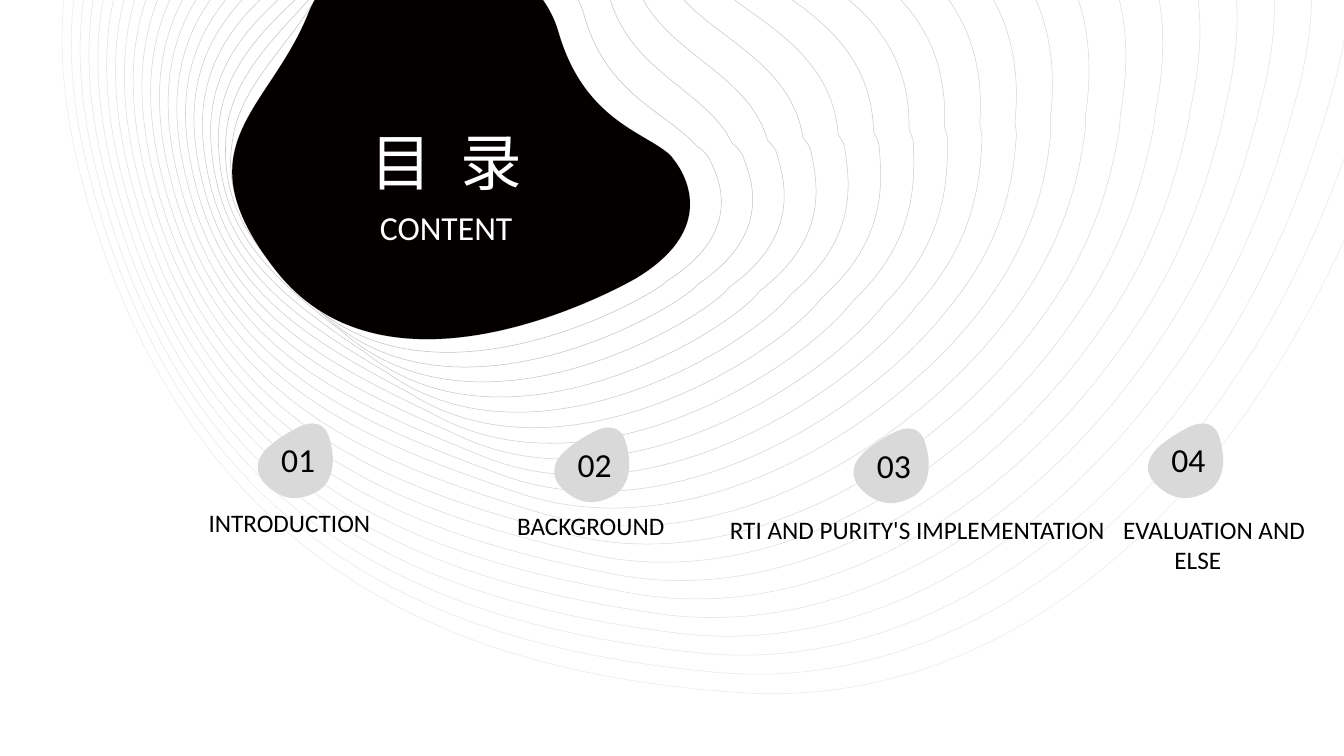
from lxml.etree import SubElement
from pptx import Presentation
from pptx.dml.color import RGBColor
from pptx.enum.text import MSO_AUTO_SIZE as AutoSize
from pptx.oxml.ns import qn
from pptx.util import Inches, Pt

BLACK = RGBColor(0x00, 0x00, 0x00)
WHITE = RGBColor(0xFF, 0xFF, 0xFF)
BLOB = RGBColor(0x04, 0x00, 0x00)
MARKER_GRAY = RGBColor(0xD9, 0xD9, 0xD9)
OUTER_GRAY = RGBColor(0xEA, 0xEA, 0xEA)
INNER_GRAY = RGBColor(0xC0, 0xBF, 0xBF)
RING_LIGHT = RGBColor(0xE8, 0xE8, 0xE8)
RING_DARK = RGBColor(0xC2, 0xC1, 0xC1)

OUTER = [
    (10.88, -3.34), (10.88, -3.34), (15.13, -3.05), (13.91, 0.86),
    (12.69, 4.76), (10.14, 7.07), (7.32, 6.87), (4.5, 6.67), (1.97, 5.63),
    (0.89, 2.07), (-0.18, -1.49), (2.03, -2.91), (4.96, -3.34),
    (7.88, -3.78), (10.88, -3.34), (10.88, -3.34),
]
RING_FIRST = [
    (7.1, 6.67), (4.4, 6.42), (1.98, 5.45), (0.97, 2.04), (-0.06, -1.37),
    (2.08, -2.73), (4.86, -3.18), (7.67, -3.63), (10.61, -3.22),
    (10.62, -3.17), (10.64, -3.13), (14.67, -2.85), (13.56, 0.89),
    (13.53, 0.97), (13.51, 1.05), (13.48, 1.13), (13.22, 1.95),
    (12.89, 2.71), (12.48, 3.39), (11.15, 5.58), (9.18, 6.86), (7.1, 6.67),
]
RING_MIDDLE = [
    (5.14, 4.89), (3.48, 4.32), (2.1, 3.76), (1.6, 1.72), (1.1, -0.32),
    (2.46, -1.11), (4.05, -1.69), (5.85, -2.34), (8.2, -2.08),
    (8.33, -1.6), (8.45, -1.2), (10.66, -1.02), (10.42, 1.16),
    (10.41, 1.21), (10.43, 1.28), (10.42, 1.34), (10.37, 1.85),
    (10.22, 2.44), (9.7, 3.11), (8.83, 4.22), (6.89, 5.48), (5.14, 4.89),
]
RING_LAST = [
    (2.97, 2.9), (2.4, 2.29), (2.22, 1.88), (2.31, 1.37), (2.39, 0.85),
    (2.84, 0.48), (3.15, -0.04), (3.78, -1.09), (5.51, -0.82),
    (5.79, 0.14), (6.01, 0.94), (6.61, 1.11), (6.91, 1.45), (6.95, 1.47),
    (7, 1.52), (7.02, 1.55), (7.12, 1.74), (7.41, 2.29), (6.61, 2.79),
    (6.54, 2.9), (4.24, 4.25), (2.97, 2.9),
]
CORE = [
    (6.31, 2.76), (6.31, 2.76), (3.92, 4.16), (2.75, 2.7), (1.76, 1.45),
    (2.67, 1.11), (3.06, 0.13), (3.51, -0.98), (5.25, -0.69), (5.54, 0.32),
    (5.78, 1.15), (6.34, 1.3), (6.6, 1.5), (6.63, 1.52), (6.66, 1.55),
    (6.68, 1.58), (6.8, 1.73), (7.12, 2.27), (6.31, 2.76),
]
PEBBLE = [
    (0.49, 0.12), (0.49, 0.12), (0.72, 0), (0.78, 0.25), (0.85, 0.49),
    (0.8, 0.69), (0.65, 0.77), (0.5, 0.85), (0.34, 0.87), (0.17, 0.72),
    (0, 0.57), (0.06, 0.42), (0.19, 0.31), (0.33, 0.19), (0.49, 0.12),
    (0.49, 0.12),
]
RING_MIDDLE_STEP, RING_LAST_STEP = 9, 19

SECTIONS = [
    ("01", 2.49, 4.11, 1.97, 4.98, 1.88, 0.4, [("INTRODUCTION", 0)]),
    ("02", 5.43, 4.15, 5.03, 5.01, 1.68, 0.4, [("BACKGROUND", 0)]),
    ("03", 8.4, 4.16, 7.14, 5.05, 3.95, 0.4,
     [("RTI AND PURITY'S IMPLEMENTATION", 0)]),
    ("04", 11.32, 4.11, 11.04, 5.05, 2.06, 0.71,
     [("EVALUATION AND", 0), ("ELSE", 0.51)]),
]


def blend(start, end, share):
    return start + (end - start) * share


def ring_points(step):
    if step <= RING_MIDDLE_STEP:
        start, end, share = RING_FIRST, RING_MIDDLE, step / RING_MIDDLE_STEP
    else:
        start, end = RING_MIDDLE, RING_LAST
        share = (step - RING_MIDDLE_STEP) / (RING_LAST_STEP - RING_MIDDLE_STEP)
    return [(blend(x1, x2, share), blend(y1, y2, share))
            for (x1, y1), (x2, y2) in zip(start, end)]


def ring_color(step):
    share = step / RING_LAST_STEP
    return RGBColor(*(round(blend(light, dark, share))
                      for light, dark in zip(RING_LIGHT, RING_DARK)))


class ContentSlide:
    """Holds the text style and the slide, and draws curves and text."""

    font_name = "Calibri"
    line_width = Pt(0.38)

    def __init__(self, presentation):
        self.slide = presentation.slides.add_slide(presentation.slide_layouts[6])

    def group(self):
        return self.slide.shapes.add_group_shape().shapes

    def curve(self, shapes, points, fill=None, line=None):
        first, *rest = [(Inches(x), Inches(y)) for x, y in points]
        builder = shapes.build_freeform(*first)
        builder.add_line_segments(rest, close=True)
        shape = builder.convert_to_shape()
        shape.shadow.inherit = False
        outline = next(shape._element.iter(qn("a:path")))
        segments = outline.findall(qn("a:lnTo"))
        close = outline.find(qn("a:close"))
        for index in range(0, len(segments), 3):
            bezier = SubElement(outline, qn("a:cubicBezTo"))
            for segment in segments[index:index + 3]:
                bezier.append(segment[0])
                outline.remove(segment)
        outline.append(close)
        if fill is None:
            shape.fill.background()
        else:
            shape.fill.solid()
            shape.fill.fore_color.rgb = fill
        if line is None:
            shape.line.fill.background()
        else:
            shape.line.color.rgb = line
            shape.line.width = self.line_width

    def text(self, shapes, left, top, width, height, lines, size, color):
        box = shapes.add_textbox(*map(Inches, (left, top, width, height)))
        frame = box.text_frame
        frame.word_wrap = False
        frame.auto_size = AutoSize.SHAPE_TO_FIT_TEXT
        for number, (words, indent) in enumerate(lines):
            paragraph = frame.add_paragraph() if number else frame.paragraphs[0]
            if indent:
                paragraph._p.get_or_add_pPr().set("marL", str(Inches(indent)))
            self.run(paragraph, words, size, color)
        return frame

    def run(self, paragraph, words, size, color, spacing=None):
        run = paragraph.add_run()
        run.text = words
        run.font.name = self.font_name
        run.font.size = Pt(size)
        run.font.color.rgb = color
        if spacing:
            run._r.get_or_add_rPr().set("spc", str(spacing))

    def section(self, number, left, top, label_left, label_top, width, height, lines):
        marker = self.group()
        self.curve(marker, [(left + x, top + y) for x, y in PEBBLE],
                   fill=MARKER_GRAY)
        self.text(marker, left + 0.2, top + 0.2, 0.54, 0.5, [(number, 0)], 24, BLACK)
        self.text(self.slide.shapes, label_left, label_top, width, height,
                  lines, 18, BLACK)


def main():
    presentation = Presentation()
    presentation.slide_width = Inches(13.33)
    presentation.slide_height = Inches(7.5)
    page = ContentSlide(presentation)

    rings = page.group()
    page.curve(rings, OUTER, line=OUTER_GRAY)
    for step in range(RING_LAST_STEP + 1):
        page.curve(rings, ring_points(step), line=ring_color(step))
    page.curve(rings, CORE, line=INNER_GRAY)
    page.curve(rings, CORE, fill=BLOB)

    shapes = page.slide.shapes
    title = page.text(shapes, 3.58, 1.18, 1.72, 0.84, [("目", 0)], 44, WHITE)
    page.run(title.paragraphs[0], " ", 44, WHITE, spacing=1000)
    page.run(title.paragraphs[0], "录", 44, WHITE)
    page.text(shapes, 3.67, 2, 1.52, 0.5, [("CONTENT", 0)], 24, WHITE)

    for section in SECTIONS:
        page.section(*section)
    presentation.save("out.pptx")


if __name__ == "__main__":
    main()
